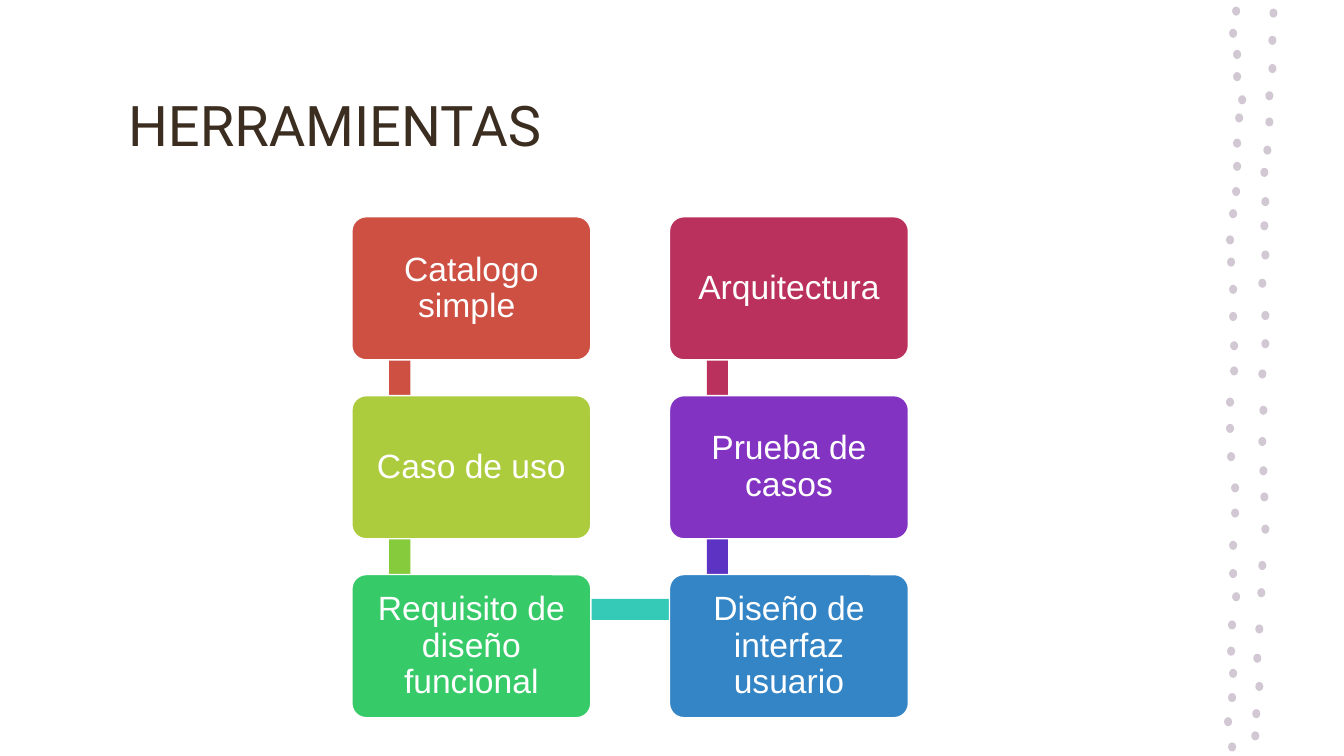
from pptx import Presentation
from pptx.dml.color import RGBColor
from pptx.enum.shapes import MSO_SHAPE
from pptx.enum.text import MSO_ANCHOR, PP_ALIGN
from pptx.util import Pt

PX = 9144
COLORS = {
    "white": "FFFFFF", "brown": "3B2E21", "dot": "D2C8D4",
    "red": "CD5043", "lime": "ADCC3D", "leaf": "85CB3C",
    "green": "37CA68", "teal": "35C9B8", "blue": "3485C6",
    "indigo": "5C33C2", "violet": "8333C1", "rose": "BB315D",
}
LEFT, TOP = 349, 215
WIDTH, HEIGHT = 237, 142
STEP_X, STEP_Y = 315, 177.5
BAR = 21
STEPS = [
    ("Catalogo simple ", "red", 0, 0),
    ("Caso de uso", "lime", 0, 1),
    ("Requisito de diseño funcional", "green", 0, 2),
    ("Diseño de interfaz usuario", "blue", 1, 2),
    ("Prueba de casos", "violet", 1, 1),
    ("Arquitectura", "rose", 1, 0),
]
LINKS = [("red", 0, 0), ("leaf", 0, 1), ("indigo", 1, 1), ("rose", 1, 0)]
DOTS = [
    (1226, 11), (1223, 33), (1227, 54), (1227, 76), (1232, 99), (1229, 117),
    (1227, 142), (1227, 165), (1226, 190), (1223, 212), (1220, 238),
    (1221, 260), (1223, 287), (1223, 314), (1224, 343), (1224, 368),
    (1220, 399), (1220, 425), (1221, 453), (1225, 484), (1225, 509),
    (1223, 541), (1223, 569), (1226, 592), (1222, 620), (1221, 646),
    (1223, 668), (1222, 692), (1218, 716), (1222, 741),
    (1263, 13), (1262, 40), (1262, 68), (1259, 95), (1259, 121),
    (1257, 149), (1254, 171), (1255, 200), (1254, 224), (1255, 253),
    (1252, 281), (1255, 313), (1255, 341), (1252, 371), (1253, 407),
    (1252, 438), (1253, 467), (1254, 493), (1255, 525), (1252, 561),
    (1251, 588), (1249, 624), (1247, 653), (1249, 681), (1246, 708),
    (1245, 730),
]


def px(*sizes):
    return [round(size * PX) for size in sizes]


def color(name):
    return RGBColor.from_string(COLORS[name])


def write(shape, text, font="Arial", size=24, fill="white",
          align=PP_ALIGN.CENTER, spacing=0.9):
    frame = shape.text_frame
    frame.word_wrap = True
    frame.vertical_anchor = MSO_ANCHOR.MIDDLE
    frame.margin_left = frame.margin_right = 10 * PX
    frame.margin_top = frame.margin_bottom = 10 * PX
    para = frame.paragraphs[0]
    para.alignment = align
    para.line_spacing = spacing
    run = para.add_run()
    run.text = text
    run.font.name = font
    run.font.size = Pt(size)
    run.font.color.rgb = color(fill)


def draw(slide, kind, box, fill, line=None):
    shape = slide.shapes.add_shape(kind, *px(*box))
    shape.shadow.inherit = False
    shape.fill.solid()
    shape.fill.fore_color.rgb = color(fill)
    if line:
        shape.line.color.rgb = color(line)
        shape.line.width = Pt(1)
    else:
        shape.line.fill.background()
    return shape


def place(col, row):
    return LEFT + col * STEP_X, TOP + row * STEP_Y


def add_title(slide, text):
    title = slide.shapes.title
    title.left, title.top, title.width, title.height = px(117, 55, 1054, 145)
    write(title, text, font="Roboto", size=40, fill="brown",
          align=PP_ALIGN.LEFT)


def add_dots(slide):
    for x, y in DOTS:
        draw(slide, MSO_SHAPE.OVAL, (x - 4, y - 4.5, 8, 9), "dot")


def add_links(slide):
    for fill, col, row in LINKS:
        x, y = place(col, row)
        box = (x + 37, y + 36, BAR, STEP_Y)
        draw(slide, MSO_SHAPE.RECTANGLE, box, fill)
    x, y = place(0, 2)
    draw(slide, MSO_SHAPE.RECTANGLE, (x + 48, y + 24, STEP_X, BAR), "teal")


def add_step(slide, text, fill, col, row):
    box = (*place(col, row), WIDTH, HEIGHT)
    step = draw(slide, MSO_SHAPE.ROUNDED_RECTANGLE, box, fill, line="white")
    step.adjustments[0] = 0.1
    write(step, text)


def main():
    deck = Presentation()
    deck.slide_width, deck.slide_height = px(1333, 750)
    slide = deck.slides.add_slide(deck.slide_layouts[5])
    add_dots(slide)
    add_title(slide, "HERRAMIENTAS")
    add_links(slide)
    for step in STEPS:
        add_step(slide, *step)
    deck.save("out.pptx")


if __name__ == "__main__":
    main()
